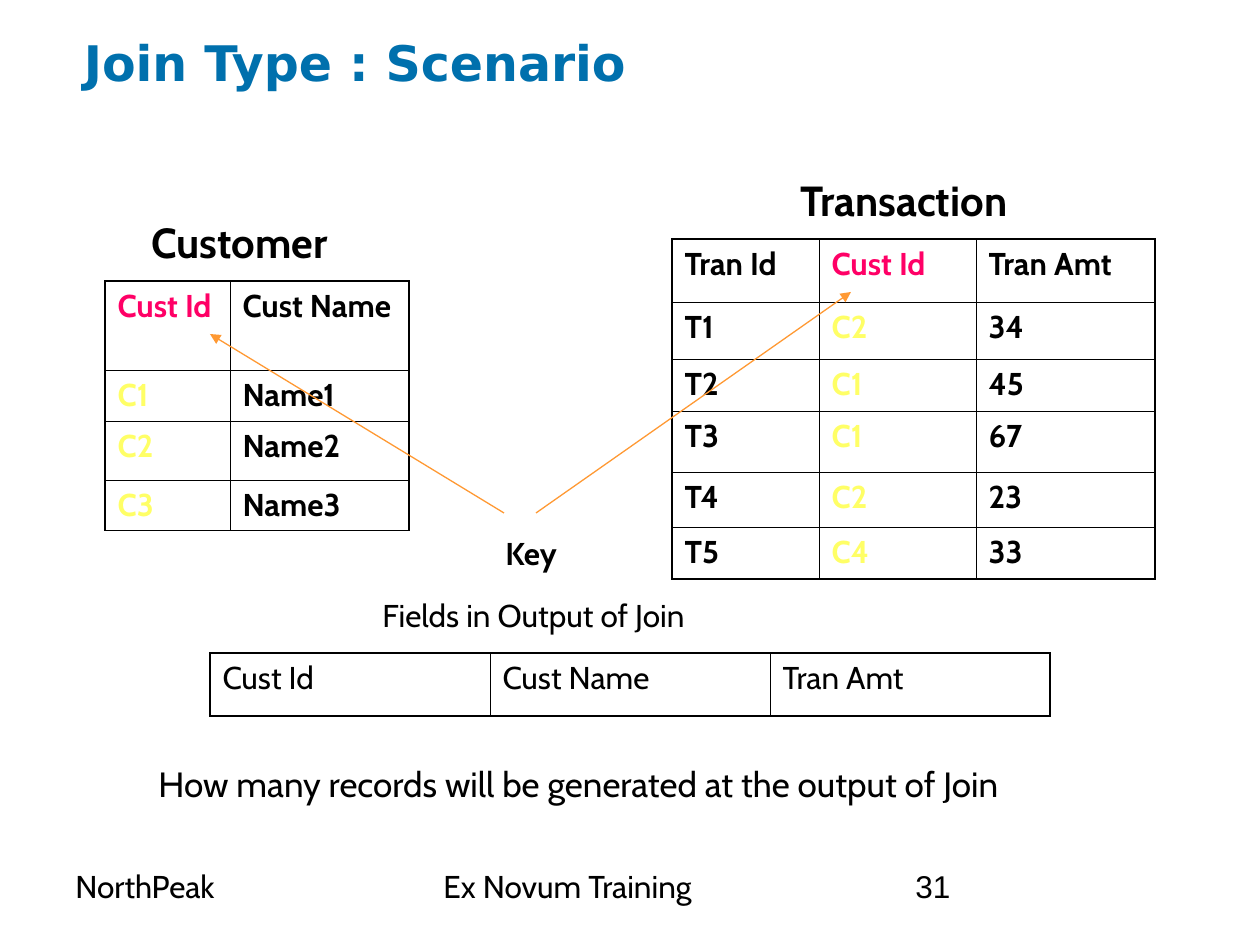
from dataclasses import dataclass

from lxml import etree
from pptx import Presentation, util as u
from pptx.dml.color import RGBColor
from pptx.enum import shapes, text
from pptx.oxml.ns import qn

SCALE = 914400 / 126


@dataclass(frozen=True)
class Theme:
    """Colours, fonts, type sizes and line widths of the slide."""
    title: str = "0070AD"
    ink: str = "000000"
    key_head: str = "FF0066"
    key_value: str = "FFFF66"
    arrow: str = "FF9933"
    title_font: str = "DejaVu Sans"
    body_font: str = "Cabin"
    number_font: str = "Arial"
    title_size: int = 28
    heading_size: int = 24
    question_size: int = 20
    body_size: int = 18
    outer_line: float = 1.08
    inner_line: float = 0.45
    arrow_line: float = 0.74


THEME = Theme()


def px(length):
    """Turn pixels into EMU."""
    return u.Emu(round(length * SCALE))


def write(frame, words, size=THEME.body_size, font=THEME.body_font,
          color=THEME.ink, bold=False, before=0):
    """Put one formatted paragraph into a text frame."""
    paragraph = frame.paragraphs[0]
    paragraph.alignment = text.PP_ALIGN.LEFT
    paragraph.space_before = u.Pt(before)
    run = paragraph.add_run()
    run.text = words
    run.font.size, run.font.name, run.font.bold = u.Pt(size), font, bold
    run.font.color.rgb = RGBColor.from_string(color)


def label(slide, box, words, inset=True, **style):
    """Place a text box at (left, top, width, height)."""
    frame = slide.shapes.add_textbox(*map(px, box)).text_frame
    frame.word_wrap = True
    if not inset:
        frame.margin_left = frame.margin_right = 0
        frame.margin_top = frame.margin_bottom = 0
    write(frame, words, **style)


def border(cell, outer_sides):
    """Rule a cell, with a heavier line on the table's outer sides."""
    properties = cell._tc.get_or_add_tcPr()
    for place, side in enumerate("LRTB"):
        width = THEME.outer_line if side in outer_sides else THEME.inner_line
        line = etree.Element(qn(f"a:ln{side}"), w=str(u.Pt(width)))
        fill = etree.SubElement(line, qn("a:solidFill"))
        etree.SubElement(fill, qn("a:srgbClr"), val=THEME.ink)
        properties.insert(place, line)


def record_table(slide, origin, columns, heights, records, key=None, bold=True):
    """Draw a ruled table at (left, top), with the key column coloured."""
    table = slide.shapes.add_table(
        len(heights), len(columns),
        *map(px, (*origin, sum(columns), sum(heights)))).table
    table.first_row = table.horz_banding = False
    for column, width in zip(table.columns, columns):
        column.width = px(width)
    for row, height in zip(table.rows, heights):
        row.height = px(height)
    for r, record in enumerate(records):
        for c, value in enumerate(record):
            cell = table.cell(r, c)
            cell.fill.background()
            edges = {"L": c == 0, "R": c == len(columns) - 1,
                     "T": r == 0, "B": r == len(heights) - 1}
            border(cell, [side for side, outer in edges.items() if outer])
            color = THEME.ink
            if c == key:
                color = THEME.key_value if r else THEME.key_head
            write(cell.text_frame, value, color=color, bold=bold, before=4.5)


def key_arrow(slide, start, end):
    """Draw an arrow from the key label to a key column."""
    arrow = slide.shapes.add_connector(
        shapes.MSO_CONNECTOR.STRAIGHT, *map(px, (*start, *end)))
    arrow.line.color.rgb = RGBColor.from_string(THEME.arrow)
    arrow.line.width = u.Pt(THEME.arrow_line)
    etree.SubElement(arrow.line._get_or_add_ln(), qn("a:tailEnd"), type="triangle")
    etree.SubElement(arrow._element.spPr, qn("a:effectLst"))


def customer(slide, left, top):
    """Customer heading and table."""
    label(slide, (left + 34, top, 229, 63), "Customer",
          size=THEME.heading_size, bold=True)
    names = [(f"C{n}", f"Name{n}") for n in (1, 2, 3)]
    record_table(slide, (left, top + 71), (125, 179), (89, 51, 59, 50),
                 [("Cust Id", "Cust Name"), *names], key=0)


def transaction(slide, left, top):
    """Transaction heading and table."""
    label(slide, (left + 116, top, 273, 63), "Transaction",
          size=THEME.heading_size, bold=True)
    sales = [("C2", "34"), ("C1", "45"), ("C1", "67"), ("C2", "23"), ("C4", "33")]
    rows = [(f"T{n}", *sale) for n, sale in enumerate(sales, 1)]
    record_table(slide, (left, top + 71), (147, 157, 179),
                 (63, 57, 52, 61, 55, 52),
                 [("Tran Id", "Cust Id", "Tran Amt"), *rows], key=1)


def join_output(slide, left, top):
    """Caption and fields of the join's output."""
    label(slide, (left + 160, top, 360, 50), "Fields in Output of Join")
    record_table(slide, (left, top + 63), (280,) * 3, (63,),
                 [("Cust Id", "Cust Name", "Tran Amt")], bold=False)


def join_key(slide, left, top):
    """Key label with its two arrows."""
    label(slide, (left, top, 82, 50), "Key", bold=True)
    key_arrow(slide, (left + 11, top - 15), (left - 283, top - 194))
    key_arrow(slide, (left + 43, top - 15), (left + 358, top - 236))


def footer(slide, left, top):
    """Company, course and page number."""
    label(slide, (left, top, 294, 66), "NorthPeak")
    label(slide, (left + 368, top, 399, 66), "Ex Novum Training")
    label(slide, (left + 840, top, 294, 66), "31", font=THEME.number_font)


def scenario_slide(deck):
    """Build the join scenario slide."""
    slide = deck.slides.add_slide(deck.slide_layouts[6])
    label(slide, (84, 33, 1134, 116), "Join Type : Scenario", inset=False,
          size=THEME.title_size, font=THEME.title_font,
          color=THEME.title, bold=True)
    footer(slide, 63, 861)
    customer(slide, 105, 210)
    transaction(slide, 672, 168)
    join_output(slide, 210, 590)
    label(slide, (146, 756, 968, 55),
          "How many records will be generated at the output of Join",
          size=THEME.question_size)
    join_key(slide, 493, 528)


deck = Presentation()
deck.slide_width, deck.slide_height = px(1260), px(945)
scenario_slide(deck)
deck.save("out.pptx")
